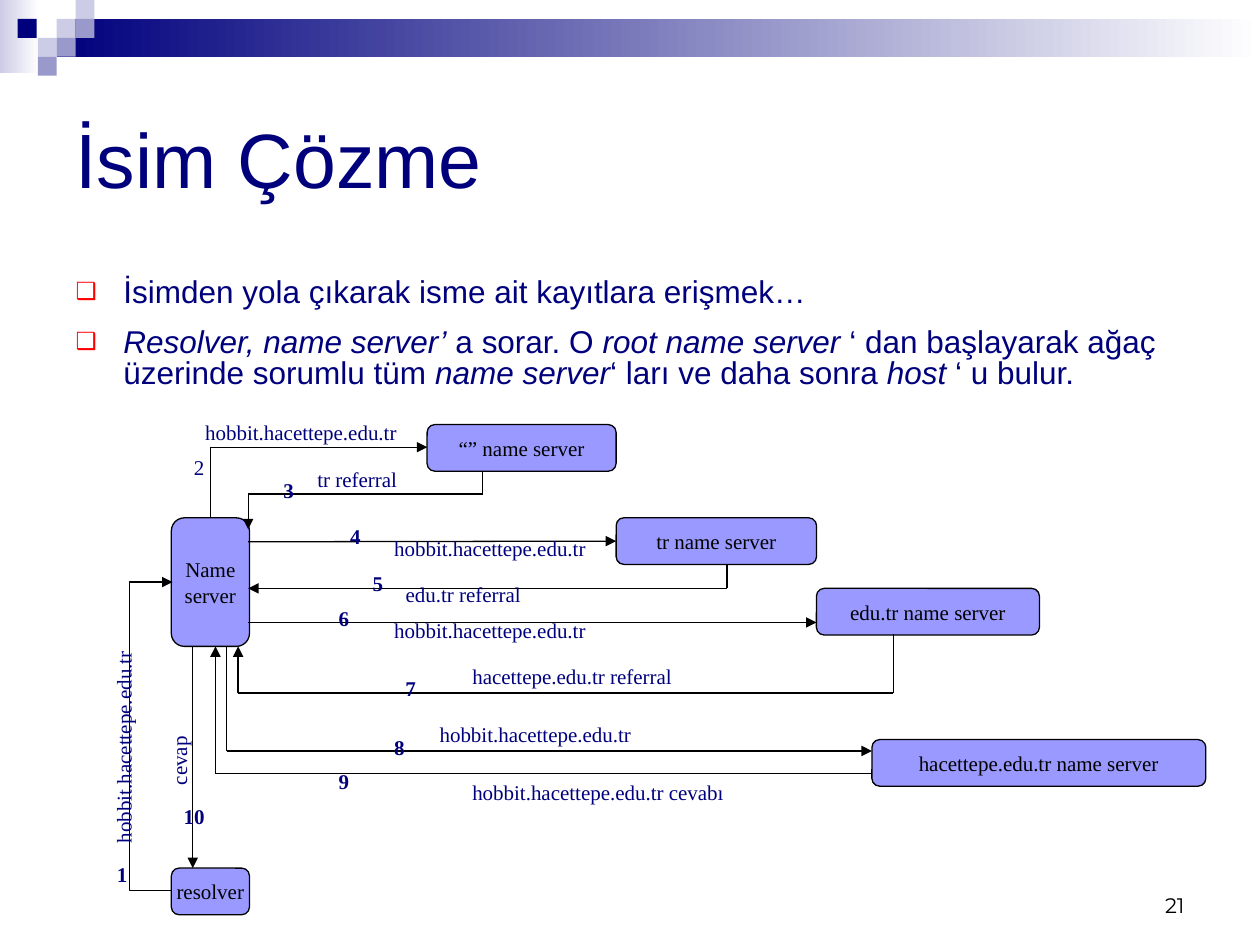
"""Build the name resolution slide."""
from lxml import etree
from pptx import Presentation
from pptx.dml.color import RGBColor
from pptx.enum import shapes, text
from pptx.oxml import ns
from pptx.util import Inches, Pt


def hue(code):
    return RGBColor.from_string(code)


def write(frame, words, size=12, face="Times New Roman", color="00007D", bold=False,
          align="LEFT", anchor="TOP", wrap=True, fit="NONE", mark=None, lead=None, gap=0):
    frame.word_wrap = wrap
    frame.auto_size = getattr(text.MSO_AUTO_SIZE, fit)
    frame.vertical_anchor = getattr(text.MSO_ANCHOR, anchor)
    for n, line in enumerate(words.split("\n")):
        para = frame.paragraphs[0] if n == 0 else frame.add_paragraph()
        para.alignment = getattr(text.PP_ALIGN, align)
        para.space_before = Pt(gap if n else 0)
        if lead:
            para.line_spacing = lead
        if mark:
            props = para._p.get_or_add_pPr()
            props.set("marL", str(Inches(0.38)))
            props.set("indent", str(Inches(-0.38)))
            tint = etree.SubElement(props, ns.qn("a:buClr"))
            etree.SubElement(tint, ns.qn("a:srgbClr"), val="FF0000")
            etree.SubElement(props, ns.qn("a:buSzPct"), val="75000")
            etree.SubElement(props, ns.qn("a:buFont"), typeface=face)
            etree.SubElement(props, ns.qn("a:buChar"), char=mark)
        for k, part in enumerate(line.split("*")):
            if part:
                run = para.add_run()
                run.text = part
                font = run.font
                font.size, font.name, font.bold = Pt(size), face, bold
                font.italic = k % 2 == 1
                font.color.rgb = hue(color)


deck = Presentation()
deck.slide_width, deck.slide_height = Inches(10), Inches(7.5)
slide = deck.slides.add_slide(deck.slide_layouts[1])
items = slide.shapes

title, body = slide.placeholders
for hold, box in ((title, (0.5, 0.5, 9, 1.5)), (body, (0.5, 2.17, 9, 1.19))):
    hold.left, hold.top, hold.width, hold.height = map(Inches, box)
write(title.text_frame, "İsim Çözme", size=44, face="Arial", anchor="MIDDLE")
write(body.text_frame,
      "İsimden yola çıkarak isme ait kayıtlara erişmek…\n"
      "*Resolver, name server’* a sorar. O *root name server* ‘ dan başlayarak ağaç "
      "üzerinde sorumlu tüm *name server*‘ ları ve daha sonra *host* ‘ u bulur.",
      size=18, face="Arial", mark="❑", lead=0.8, gap=11.2)

bands = [(0, 0, 0.31, 0.58, "CCCCE6"), (0.45, 0.15, 9.55, 0.3, "00007D")]
tiles = [(0.45, 0.15, "CCCCE6"), (0.6, 0, "CCCCE6"), (0.6, 0.15, "9999CC"),
         (0.3, 0.3, "CCCCE6"), (0.14, 0.15, "00007D"), (0.45, 0.3, "9999CC"),
         (0.3, 0.45, "9999CC")]
for x, y, w, h, tone in bands + [(x, y, 0.15, 0.15, tone) for x, y, tone in tiles]:
    block = items.add_shape(shapes.MSO_SHAPE.RECTANGLE, *map(Inches, (x, y, w, h)))
    block.shadow.inherit = False
    block.line.fill.background()
    if w > 0.15:
        block.fill.gradient()
        block.fill.gradient_angle = 0
        for stop, shade in zip(block.fill.gradient_stops, (tone, "FFFFFF")):
            stop.color.rgb = hue(shade)
    else:
        block.fill.solid()
        block.fill.fore_color.rgb = hue(tone)

page = items.add_textbox(*map(Inches, (7.17, 6.83, 2.33, 0.5)))
write(page.text_frame, "21", face="Montserrat", color="000000", align="RIGHT", anchor="BOTTOM")

nodes = {}
for x, y, w, h, name in [
        (1.36, 6.89, 0.62, 0.37, "resolver"), (1.36, 4.11, 0.62, 1.02, "Name\nserver"),
        (3.39, 3.37, 1.5, 0.37, "“” name server"),
        (6.92, 5.87, 2.65, 0.37, "hacettepe.edu.tr name server"),
        (6.48, 4.67, 1.77, 0.37, "edu.tr name server"),
        (4.89, 4.11, 1.59, 0.37, "tr name server")]:
    node = items.add_shape(shapes.MSO_SHAPE.ROUNDED_RECTANGLE, *map(Inches, (x, y, w, h)))
    node.shadow.inherit = False
    node.fill.solid()
    node.fill.fore_color.rgb = hue("9999FF")
    node.line.color.rgb = hue("000000")
    node.line.width = Pt(0.75)
    write(node.text_frame, name, color="000000", align="CENTER", anchor="MIDDLE", wrap=False)
    nodes[name] = node

routes = [
    [(3.83, 3.74), (3.83, 3.92), (1.97, 3.92), (1.97, 4.2)],
    [(1.97, 4.3), (4.89, 4.3)],
    [(5.77, 4.48), (5.77, 4.67), (1.97, 4.67)],
    [(1.97, 4.94), (6.48, 4.94)],
    [(7.09, 5.03), (7.09, 5.5), (1.89, 5.5), (1.89, 5.13)],
    [(1.8, 5.13), (1.8, 5.96), (6.92, 5.96)],
    [(6.92, 6.14), (1.71, 6.14), (1.71, 5.13)],
    [(1.53, 5.13), (1.53, 6.89)]]
kind = shapes.MSO_CONNECTOR
links = [(kind.STRAIGHT, a, b, b == route[-1])
         for route in routes for a, b in zip(route, route[1:])]
links += [(kind.ELBOW, (1.36, 7.07), (1.37, 4.62), True),
          (kind.ELBOW, (1.66, 4.11), (3.39, 3.55), True)]
for form, a, b, tip in links:
    link = items.add_connector(form, *map(Inches, a + b))
    link.line.color.rgb = hue("000000")
    link.line.width = Pt(0.75)
    if tip:
        etree.SubElement(link.line._get_or_add_ln(), ns.qn("a:tailEnd"), type="triangle")
    props = link._element.spPr
    etree.SubElement(props, ns.qn("a:effectLst"))
    if b == (4.89, 4.3):
        link.end_connect(nodes["tr name server"], 1)
    if a == (1.36, 7.07):
        guides = props.prstGeom.get_or_add_avLst()
        etree.SubElement(guides, ns.qn("a:gd"), name="adj1", fmla="val -3400000")
    if a == (1.66, 4.11):
        props.prstGeom.set("prst", "bentConnector2")
        link.left, link.top, link.width, link.height = map(Inches, (2.25, 2.97, 0.56, 1.72))
        for key, val in (("rot", "5400000"), ("flipH", "1"), ("flipV", "1")):
            props.xfrm.set(key, val)

host = "hobbit.hacettepe.edu.tr"
labels = [(0.01, 5.67, 1.94, host, 270), (1.05, 5.81, 0.74, "cevap", 270),
          (1.53, 3.28, 1.85, host, 0), (2.42, 3.65, 1.85, "tr referral", 0),
          (3.03, 4.2, 1.85, host, 0), (3.12, 4.57, 1.85, "edu.tr referral", 0),
          (3.03, 4.85, 1.85, host, 0), (3.65, 5.22, 2.21, "hacettepe.edu.tr referral", 0),
          (3.39, 5.68, 1.85, host, 0), (3.65, 6.14, 2.47, host + " cevabı", 0)]
steps = [(0.83, 6.79), (1.44, 3.56), (2.15, 3.74), (2.68, 4.11), (2.86, 4.48),
         (2.59, 4.76), (3.12, 5.31), (3.03, 5.78), (2.59, 6.05), (1.36, 6.33)]
labels += [(x, y, 0.53 if n == 10 else 0.26, str(n), 0) for n, (x, y) in enumerate(steps, 1)]
for x, y, w, words, turn in labels:
    label = items.add_textbox(*map(Inches, (x, y, w, 0.3)))
    label.rotation = turn
    write(label.text_frame, words, bold=words.isdigit() and words != "2", fit="SHAPE_TO_FIT_TEXT")

deck.save("out.pptx")
